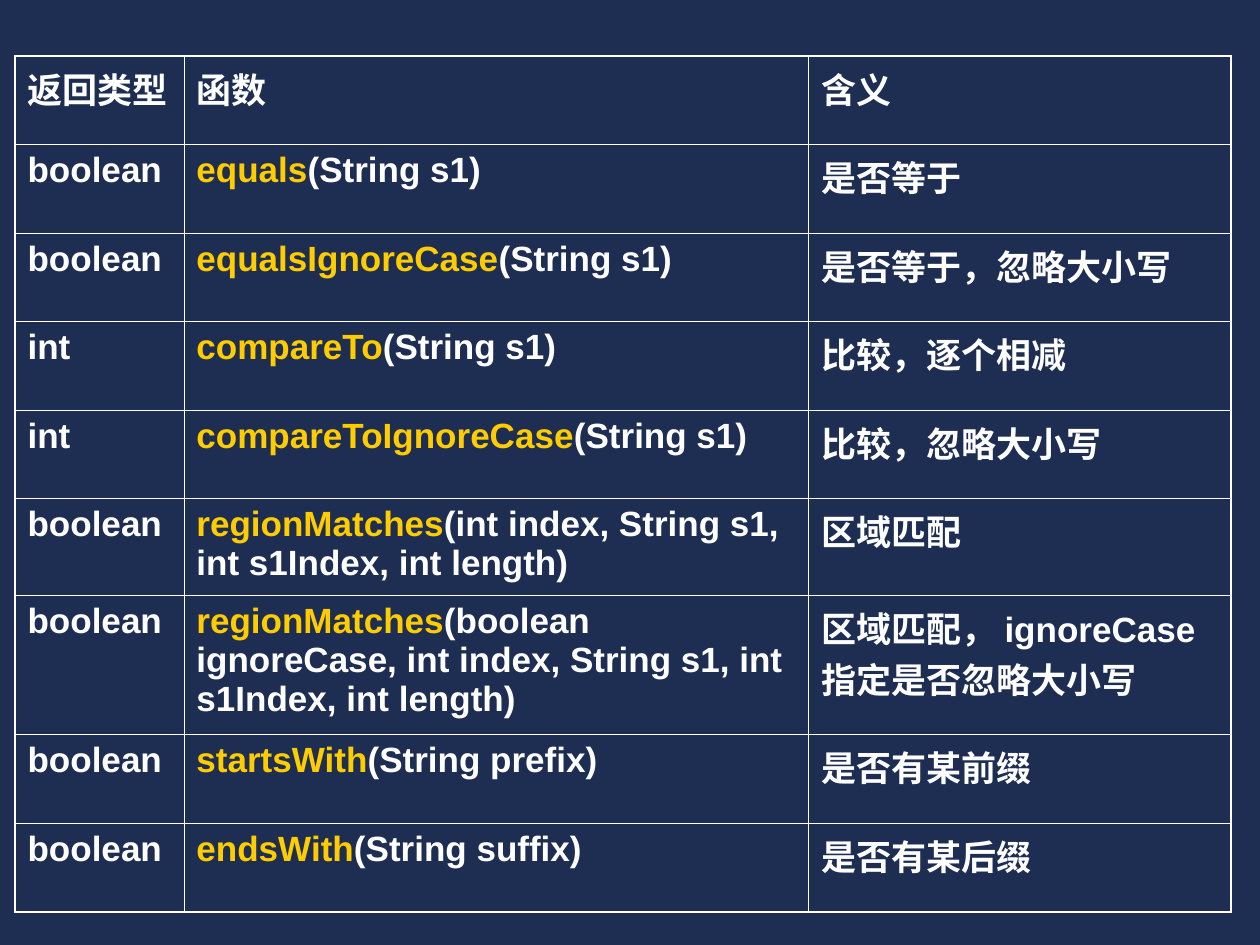
from lxml.etree import SubElement
from pptx import Presentation
from pptx.dml.color import RGBColor
from pptx.oxml.ns import qn
from pptx.util import Pt

NAVY = RGBColor(0x1E, 0x2E, 0x53)
WHITE = RGBColor(0xFF, 0xFF, 0xFF)
GOLD = RGBColor(0xFF, 0xCC, 0x00)

OUTER_LINE = Pt(1.08)
INNER_LINE = Pt(0.45)
COLUMN_WIDTHS = [96.5, 357, 241.2]
ROW_HEIGHTS = [50.6] * 5 + [55.4, 79.4] + [50.6] * 2

HEADER = ("返回类型", "", "函数", "含义")
METHODS = [
    ("boolean", "equals", "(String s1)", "是否等于"),
    ("boolean", "equalsIgnoreCase", "(String s1)", "是否等于，忽略大小写"),
    ("int", "compareTo", "(String s1)", "比较，逐个相减"),
    ("int", "compareToIgnoreCase", "(String s1)", "比较，忽略大小写"),
    ("boolean", "regionMatches", "(int index, String s1, int s1Index, int length)", "区域匹配"),
    ("boolean", "regionMatches",
     "(boolean ignoreCase, int index, String s1, int s1Index, int length)",
     "区域匹配， ignoreCase指定是否忽略大小写"),
    ("boolean", "startsWith", "(String prefix)", "是否有某前缀"),
    ("boolean", "endsWith", "(String suffix)", "是否有某后缀"),
]


def set_borders(cell, outer_sides):
    properties = cell._tc.get_or_add_tcPr()
    for side in ("L", "R", "T", "B"):
        width = OUTER_LINE if side in outer_sides else INNER_LINE
        line = SubElement(properties, qn(f"a:ln{side}"), w=str(int(width)))
        fill = SubElement(line, qn("a:solidFill"))
        SubElement(fill, qn("a:srgbClr"), val=str(WHITE))


def fill_cell(cell, runs, outer_sides):
    set_borders(cell, outer_sides)
    cell.fill.background()
    cell.margin_left = cell.margin_right = Pt(7.2)
    cell.margin_top = cell.margin_bottom = Pt(3.6)
    paragraph = cell.text_frame.paragraphs[0]
    for text, color in runs:
        run = paragraph.add_run()
        run.text = text
        run.font.size = Pt(20)
        run.font.bold = True
        run.font.name = "Arial"
        run.font.color.rgb = color


def add_method_table(slide, left, top, width, height):
    rows = [HEADER] + METHODS
    last_row, last_column = len(rows) - 1, len(COLUMN_WIDTHS) - 1
    frame = slide.shapes.add_table(len(rows), len(COLUMN_WIDTHS), left, top, width, height)
    table = frame.table
    table.first_row = table.horz_banding = False
    for column, column_width in zip(table.columns, COLUMN_WIDTHS):
        column.width = Pt(column_width)
    for row, row_height in zip(table.rows, ROW_HEIGHTS):
        row.height = Pt(row_height)
    for row_index, (return_type, name, signature, meaning) in enumerate(rows):
        function_runs = [(name, GOLD)] if name else []
        function_runs.append((signature, WHITE))
        contents = [[(return_type, WHITE)], function_runs, [(meaning, WHITE)]]
        for column_index, runs in enumerate(contents):
            edges = {"L": column_index == 0, "R": column_index == last_column,
                     "T": row_index == 0, "B": row_index == last_row}
            outer_sides = [side for side, is_outer in edges.items() if is_outer]
            fill_cell(table.cell(row_index, column_index), runs, outer_sides)


def main():
    presentation = Presentation()
    presentation.slide_width = Pt(720)
    presentation.slide_height = Pt(540)
    slide = presentation.slides.add_slide(presentation.slide_layouts[6])
    slide.background.fill.solid()
    slide.background.fill.fore_color.rgb = NAVY
    add_method_table(slide, Pt(8.6), Pt(32), Pt(sum(COLUMN_WIDTHS)), Pt(sum(ROW_HEIGHTS)))
    presentation.save("out.pptx")


if __name__ == "__main__":
    main()
